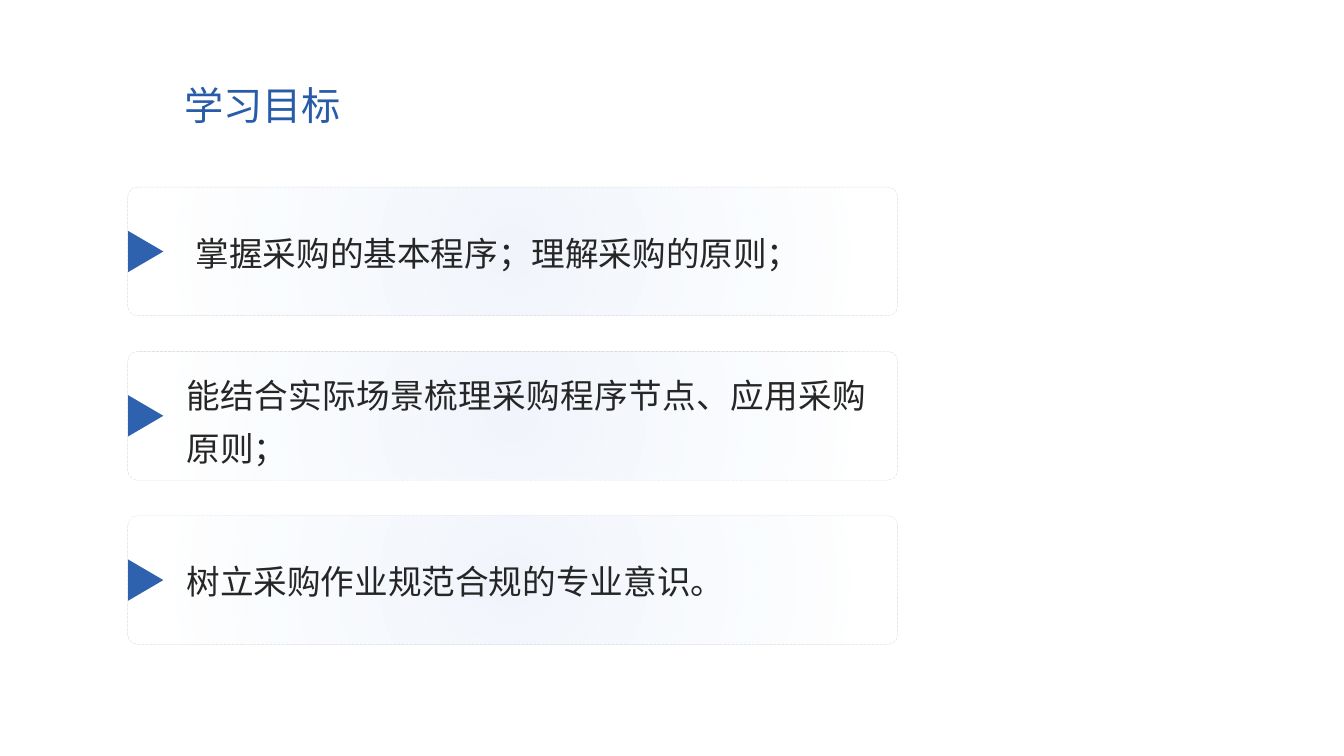
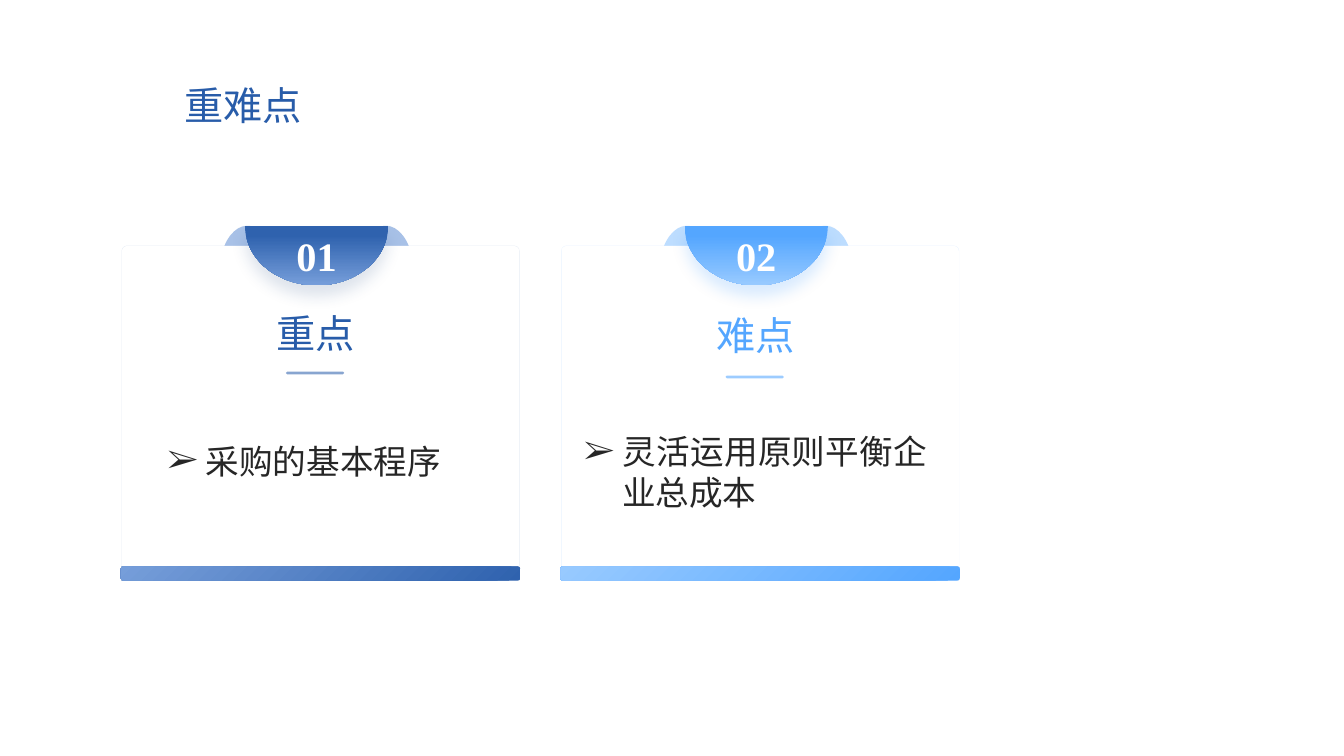
from dataclasses import dataclass

import lxml.etree
import pptx
import pptx.dml.color
import pptx.enum.dml
import pptx.enum.shapes
import pptx.enum.text
import pptx.oxml.ns
import pptx.util

Inches = pptx.util.Inches
Pt = pptx.util.Pt
qn = pptx.oxml.ns.qn
Shape = pptx.enum.shapes.MSO_SHAPE
Align = pptx.enum.text.PP_ALIGN
Anchor = pptx.enum.text.MSO_ANCHOR
Box = tuple[float, float, float, float]
Point = tuple[float, float]
Stop = tuple[float, str, float]

HEX = {
    "white": "FFFFFF", "ink": "262626", "grey": "595959", "title": "285CA9",
    "navy": "2F62AE", "soft": "769EDA", "shade": "234A82",
    "sky": "54A6FF", "pale": "98CAFF", "glow": "007AFE",
}
SANS, SERIF = "Noto Sans CJK SC", "Times New Roman"


@dataclass
class Label:
    text: str
    box: Box
    size: float = 24
    color: str = "ink"
    font: str = SERIF
    align: Align = Align.JUSTIFY
    anchor: Anchor = Anchor.BOTTOM
    space: float | None = None
    inset: bool = False
    bold: bool = False
    bullet: str = ""


@dataclass
class Card:
    num: str
    dark: str
    light: str
    shade: str
    rule: float
    head: Label
    body: Label


# Paint helpers
def rgb(name: str) -> pptx.dml.color.RGBColor:
    return pptx.dml.color.RGBColor.from_string(HEX[name])


def add(parent, tag: str, **attrs):
    values = {key: str(value) for key, value in attrs.items()}
    return lxml.etree.SubElement(parent, qn(tag), values)


def fade(node, alpha: float) -> None:
    """Give every colour below the node an opacity in percent."""
    for color in node.iter(qn("a:srgbClr")):
        add(color, "a:alpha", val=round(alpha * 1000))


def plain(shape, color: str, alpha: float = 100) -> None:
    shape.shadow.inherit = False
    shape.line.fill.background()
    shape.fill.solid()
    shape.fill.fore_color.rgb = rgb(color)
    if alpha < 100:
        fade(shape._element.spPr.find(qn("a:solidFill")), alpha)


def blend(shape, stops: list[Stop], angle: float | None = None) -> None:
    """Fill with a linear gradient, or a round one when no angle is given."""
    shape.fill.background()
    blank = shape._element.spPr.find(qn("a:noFill"))
    grad = lxml.etree.Element(qn("a:gradFill"), rotWithShape="1")
    steps = add(grad, "a:gsLst")
    for place, color, alpha in stops:
        stop = add(steps, "a:gs", pos=round(place * 1000))
        add(stop, "a:srgbClr", val=HEX[color])
        fade(stop, alpha)
    if angle is None:
        round_fill = add(grad, "a:path", path="circle")
        add(round_fill, "a:fillToRect", l=50000, t=50000, r=50000, b=50000)
    else:
        add(grad, "a:lin", ang=round(angle * 60000), scaled=0)
    blank.getparent().replace(blank, grad)


def stroke(shape, color: str, width: float, alpha: float):
    shape.line.color.rgb = rgb(color)
    shape.line.width = Pt(width)
    line = shape._element.spPr.find(qn("a:ln"))
    fade(line, alpha)
    return line


def cast(shape, color: str) -> None:
    """Drop a soft shadow straight down."""
    effects = shape._element.spPr.find(qn("a:effectLst"))
    outer = add(effects, "a:outerShdw", blurRad=Pt(11), dist=Pt(8),
                dir=90 * 60000, algn="ctr", rotWithShape=0)
    add(outer, "a:srgbClr", val=HEX[color])
    fade(outer, 15)


# Shape and text helpers
def place(slide, kind: Shape, box: Box, color: str, adj: float | None = None):
    shape = slide.shapes.add_shape(kind, *map(Inches, box))
    plain(shape, color)
    if adj is not None:
        shape.adjustments[0] = adj
    return shape


def trace(slide, loops: list[list[Point]], curves: int):
    """Draw closed outlines, each of which begins with Bezier curves."""
    paths = [[(Inches(x), Inches(y)) for x, y in loop] for loop in loops]
    pen = slide.shapes.build_freeform(*paths[0][0])
    for index, path in enumerate(paths):
        if index:
            pen.move_to(*path[0])
        pen.add_line_segments(path[1:], close=True)
    shape = pen.convert_to_shape()
    for move in list(shape._element.iter(qn("a:moveTo"))):
        lines = list(move.itersiblings())[:3 * curves]
        for first in range(0, len(lines), 3):
            curve = lxml.etree.Element(qn("a:cubicBezTo"))
            lines[first].addprevious(curve)
            for line in lines[first:first + 3]:
                curve.append(line[0])
                line.getparent().remove(line)
    return shape


def write(shape, label: Label) -> None:
    frame = shape.text_frame
    frame.auto_size = pptx.enum.text.MSO_AUTO_SIZE.NONE
    frame.word_wrap = True
    frame.vertical_anchor = label.anchor
    if not label.inset:
        frame.margin_left = frame.margin_right = 0
        frame.margin_top = frame.margin_bottom = 0
    para = frame.paragraphs[0]
    if label.bullet:
        props = para._p.get_or_add_pPr()
        props.set("marL", str(Inches(0.38)))
        props.set("indent", str(-Inches(0.38)))
        add(props, "a:buFont", typeface=SERIF)
        add(props, "a:buChar", char=label.bullet)
    para.alignment = label.align
    if label.space:
        para.line_spacing = label.space
    run = para.add_run()
    run.text = label.text
    run.font.size = Pt(label.size)
    run.font.bold = label.bold
    run.font.color.rgb = rgb(label.color)
    run.font.name = label.font
    add(run._r.get_or_add_rPr(), "a:ea", typeface=SANS)


def note(slide, label: Label) -> None:
    write(slide.shapes.add_textbox(*map(Inches, label.box)), label)


def start(deck, text: str):
    """Add a slide with the shared title style."""
    slide = deck.slides.add_slide(deck.slide_layouts[5])
    title = slide.shapes.title
    box = (1.73, 0.72, 2.68, 0.64)
    title.left, title.top, title.width, title.height = map(Inches, box)
    write(title, Label(text, box, 28, "title", SANS, Align.LEFT, Anchor.MIDDLE, inset=True))
    return slide


# Slide 1: goals
GOALS = [
    Label("掌握采购的基本程序；理解采购的原则；", (1.94, 2.3, 6.65, 0.41), space=1.3),
    Label("能结合实际场景梳理采购程序节点、应用采购原则；", (1.85, 3.59, 6.74, 1.05), space=1.3),
    Label("树立采购作业规范合规的专业意识。", (1.85, 5.36, 6.74, 0.6)),
]


def goal(slide, top: float, label: Label) -> None:
    box = (1.27, top, 7.63, 1.27)
    frame = place(slide, Shape.ROUNDED_RECTANGLE, box, "white", 0.074)
    stroke(frame, "grey", 0.75, 20)
    frame.line.dash_style = pptx.enum.dml.MSO_LINE.SQUARE_DOT
    place(slide, Shape.ROUNDED_RECTANGLE, box, "white", 0.073)
    tint = place(slide, Shape.ROUNDED_RECTANGLE, box, "white", 0.074)
    blend(tint, [(0, "soft", 10), (88, "soft", 0)])
    mark = place(slide, Shape.ISOSCELES_TRIANGLE, (1.24, top + 0.46, 0.41, 0.35), "navy")
    mark.rotation = 90
    note(slide, label)


# Slide 2: key and hard points
CARDS = [
    Card("01", "navy", "soft", "shade", 3.7,
         Label("重点", (1.52, 3.09, 3.22, 0.43), 28, "title", SANS, Align.CENTER,
               Anchor.MIDDLE, inset=True),
         Label("采购的基本程序", (1.66, 4.17, 3.11, 1.03), anchor=Anchor.TOP,
               space=1.5, bullet="➢")),
    Card("02", "sky", "pale", "glow", 3.74,
         Label("难点", (5.88, 3.13, 3.23, 0.43), 28, "sky", SANS, Align.CENTER),
         Label("灵活运用原则平衡企业总成本", (5.79, 4.28, 3.41, 0.53), anchor=Anchor.TOP,
               bullet="➢")),
]
EAR = [(0.69, 0), (0.81, 0), (0.92, 0.14), (0.95, 0.33),
       (0.96, 0.34), (0.66, 0.34), (0.66, 0)]
BOWL = [(0.71, 0), (0.71, 0.33), (0.39, 0.59), (0, 0.59),
        (-0.39, 0.59), (-0.71, 0.33), (-0.71, 0)]


def shift(knots: list[Point], mid: float, top: float, side: int = 1) -> list[Point]:
    return [(mid + side * x, top + y) for x, y in knots]


def panel(slide, left: float, card: Card) -> None:
    mid, top = left + 1.93, 2.24
    ears = trace(slide, [shift(EAR, mid, top, side) for side in (1, -1)], 1)
    plain(ears, card.light, 63)

    box = (left, 2.44, 3.94, 3.32)
    frame = place(slide, Shape.ROUNDED_RECTANGLE, box, "white", 0.015)
    stroke(frame, card.dark, 0.5, 13)
    place(slide, Shape.ROUNDED_RECTANGLE, box, "white", 0.015)

    bar = place(slide, Shape.ROUNDED_RECTANGLE, (left - 0.01, 5.62, 3.96, 0.14), card.dark)
    blend(bar, [(0, card.dark, 100), (100, card.light, 100)], 225)

    # Half-round badge with the number
    badge = trace(slide, [shift(BOWL, mid, top)], 2)
    plain(badge, card.dark)
    blend(badge, [(16, card.dark, 100), (100, card.light, 100)], 90)
    cast(badge, card.shade)
    write(badge, Label(card.num, (mid - 0.71, top, 1.42, 0.59), 28.8, "white", SERIF,
                       Align.CENTER, Anchor.MIDDLE, inset=True, bold=True))

    # Heading, short rule and body
    ends = map(Inches, (left + 1.64, card.rule, left + 2.19, card.rule))
    rule = slide.shapes.add_connector(pptx.enum.shapes.MSO_CONNECTOR.STRAIGHT, *ends)
    stroke(rule, card.dark, 2, 57).set("cap", "rnd")
    add(rule._element.spPr, "a:effectLst")
    note(slide, card.head)
    note(slide, card.body)


def main() -> None:
    deck = pptx.Presentation()
    deck.slide_width, deck.slide_height = Inches(13.33), Inches(7.5)

    goals = start(deck, "学习目标")
    for row, label in enumerate(GOALS):
        goal(goals, 1.86 + 1.63 * row, label)

    points = start(deck, "重难点")
    for col, card in enumerate(CARDS):
        panel(points, 1.21 + 4.36 * col, card)

    deck.save("out.pptx")


if __name__ == "__main__":
    main()
